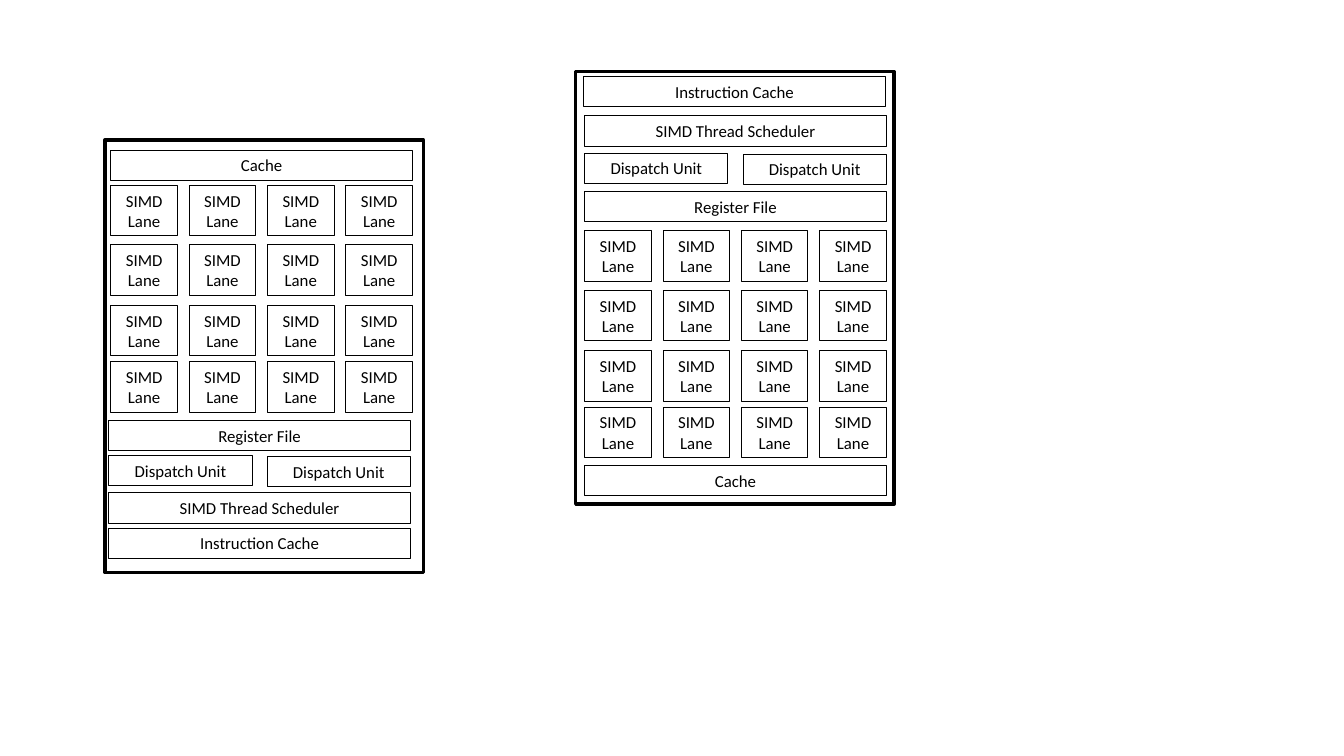
"""Draw two SIMD processor cores, one mirrored top to bottom, on one slide."""
from pptx import Presentation
from pptx import util as u
from pptx.dml import color
from pptx.enum import shapes, text

BLACK = color.RGBColor(0, 0, 0)
BAR_W, BAR_H = 2.99, 0.3
UNIT_W, UNIT_STEP = 1.42, 1.57
LANE_W, LANE_H, LANE_STEP = 0.66, 0.5, 0.777
LANE_ROWS = (0, 0.59, 1.19, 1.75)


def write(tf, content, font="Calibri", size=12, fill=BLACK,
          align=text.PP_ALIGN.CENTER):
    """Put formatted text into a text frame."""
    p = tf.paragraphs[0]
    p.alignment = align
    r = p.add_run()
    r.text = content
    r.font.name = font
    r.font.size = u.Pt(size)
    r.font.color.rgb = fill


class Diagram:
    """Hold the line style and the current slide."""

    def __init__(self, s, line=BLACK, thin=0.75, thick=2.5):
        """Keep the slide and its line style."""
        self.s, self.line, self.thin, self.thick = s, line, thin, thick

    def outline(self, sp, width):
        """Draw the edge of a shape."""
        sp.line.color.rgb = self.line
        sp.line.width = u.Pt(width)

    def box(self, content, x, y, w, h):
        """Add a thin labelled box."""
        sp = self.s.shapes.add_textbox(*map(u.Inches, (x, y, w, h)))
        self.outline(sp, self.thin)
        tf = sp.text_frame
        tf.word_wrap = True
        tf.auto_size = text.MSO_AUTO_SIZE.SHAPE_TO_FIT_TEXT
        write(tf, content)

    def bar(self, content, x, y):
        """Add a box across the whole core."""
        self.box(content, x, y, BAR_W, BAR_H)

    def dispatch(self, x, y):
        """Add the pair of dispatch units."""
        for i in range(2):
            self.box("Dispatch Unit", x + i * UNIT_STEP, y + i * 0.01,
                     UNIT_W, BAR_H)

    def lanes(self, x, y):
        """Add the grid of SIMD lanes."""
        for dy in LANE_ROWS:
            for col in range(4):
                self.box("SIMD Lane", x + col * LANE_STEP, y + dy,
                         LANE_W, LANE_H)

    def frame(self, x, y):
        """Add the thick border of a core."""
        sp = self.s.shapes.add_shape(shapes.MSO_SHAPE.RECTANGLE, *map(
            u.Inches, (x, y, 3.16, 4.29)))
        sp.shadow.inherit = False
        sp.fill.background()
        self.outline(sp, self.thick)

    def core(self, frame, bars, dispatch, lanes):
        """Add one complete core."""
        for content, x, y in bars:
            self.bar(content, x, y)
        self.dispatch(*dispatch)
        self.lanes(*lanes)
        self.frame(*frame)


def main():
    """Build and save the slide."""
    prs = Presentation()
    prs.slide_width, prs.slide_height = u.Inches(13.33), u.Inches(7.5)
    d = Diagram(prs.slides.add_slide(prs.slide_layouts[6]))
    d.core(frame=(5.71, 0.71),
           bars=(("Instruction Cache", 5.79, 0.76),
                 ("SIMD Thread Scheduler", 5.8, 1.15),
                 ("Register File", 5.8, 1.9),
                 ("Cache", 5.8, 4.62)),
           dispatch=(5.8, 1.52), lanes=(5.8, 2.29))
    d.core(frame=(1.04, 1.39),
           bars=(("Instruction Cache", 1.08, 5.24),
                 ("SIMD Thread Scheduler", 1.08, 4.89),
                 ("Register File", 1.08, 4.17),
                 ("Cache", 1.1, 1.49)),
           dispatch=(1.08, 4.52), lanes=(1.1, 1.84))
    prs.save("out.pptx")


if __name__ == "__main__":
    main()
